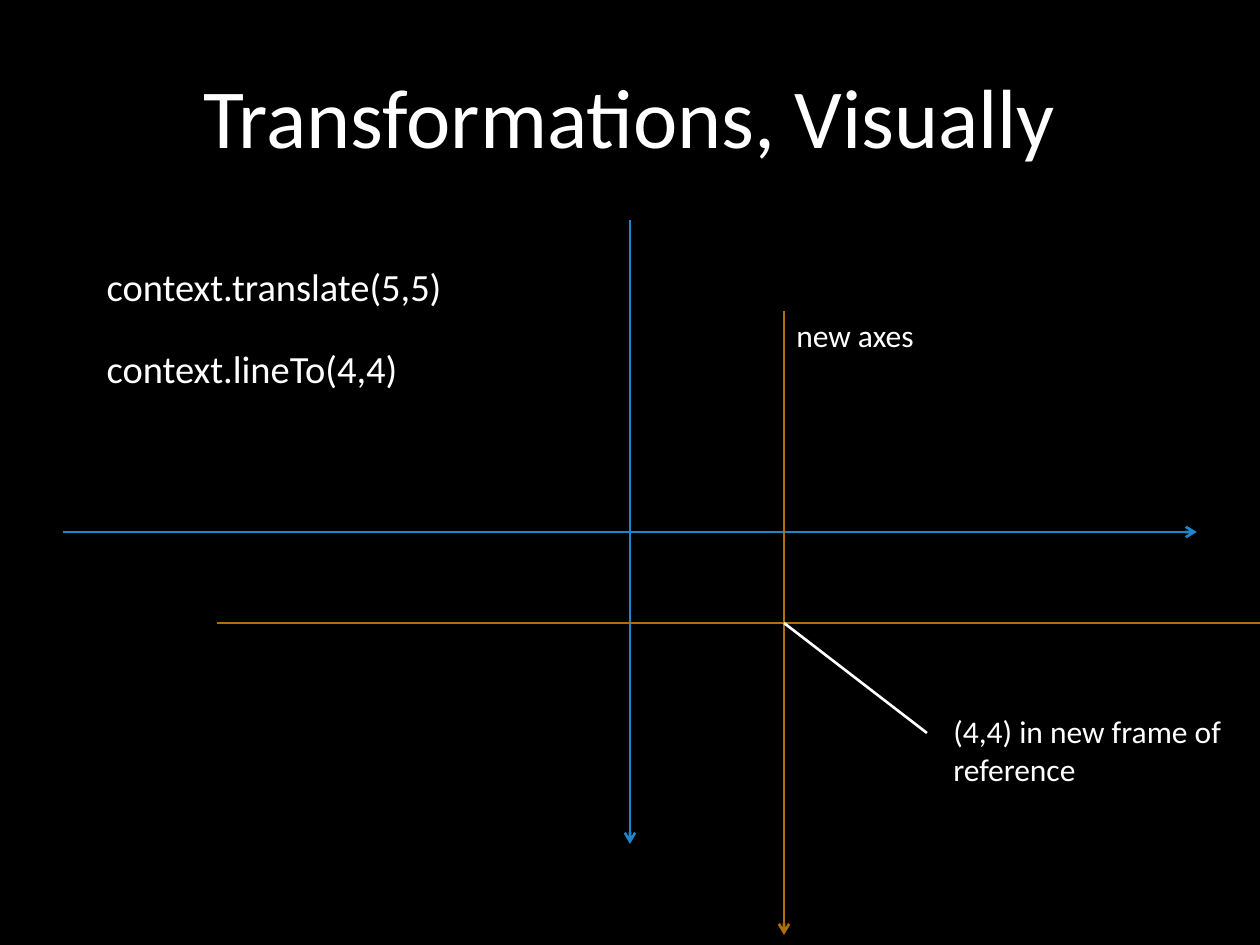
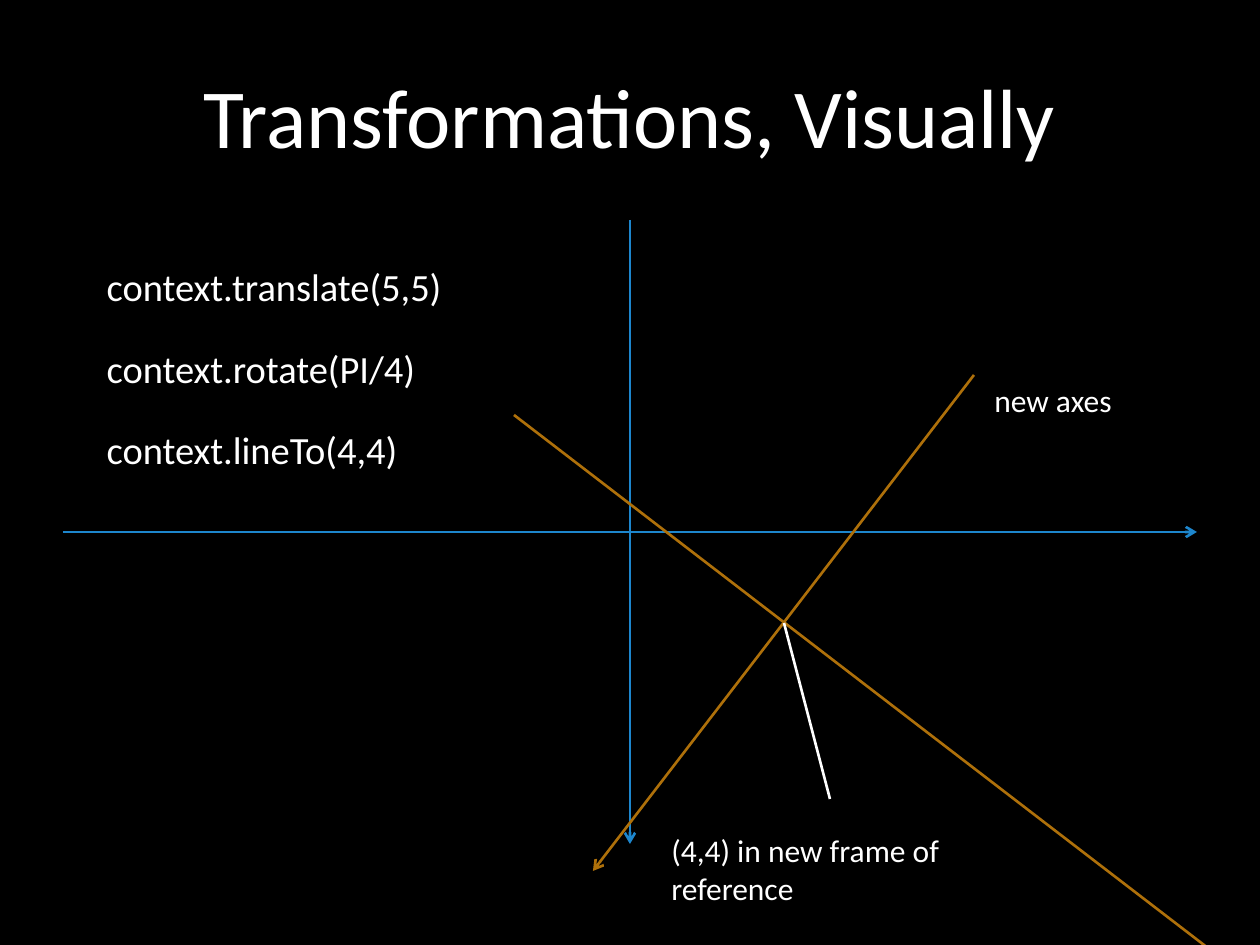
"""Build two slides showing how canvas transformations move the axes."""
from dataclasses import dataclass

import lxml.etree
import pptx
import pptx.dml.color
import pptx.enum.shapes
import pptx.enum.text
import pptx.oxml.ns
import pptx.util

EMU_PER_PIXEL = 914400 // 126
FONT = "Calibri"
BLACK, WHITE, BLUE, ORANGE = "000000", "FFFFFF", "1D86CD", "AE700A"
TITLE = "Transformations, Visually"
TITLE_BOX = (94, 16, 1071, 197)
CODE_BOX = (94, 257, 1071, 587)
AXES_LABEL_SIZE = (256, 50)
POINT_LABEL_SIZE = (360, 89)
ORIGIN_SHIFT = (154, 91)
NEW_ORIGIN = (784, 623)


@dataclass(frozen=True)
class Line:
    start: tuple[int, int]
    end: tuple[int, int]
    color: str
    arrow: bool = True

    def shifted(self, offset: tuple[int, int], color: str) -> "Line":
        across, down = offset
        return Line(
            (self.start[0] + across, self.start[1] + down),
            (self.end[0] + across, self.end[1] + down),
            color,
        )


@dataclass(frozen=True)
class Diagram:
    code: list[str]
    new_axes: list[Line]
    axes_label_at: tuple[int, int]
    point: tuple[int, int]
    point_label_at: tuple[int, int]


AXES = [
    Line((630, 220), (630, 844), BLUE),
    Line((63, 532), (1197, 532), BLUE),
]

DIAGRAMS = [
    Diagram(
        code=["context.translate(5,5)", "context.lineTo(4,4)"],
        new_axes=[axis.shifted(ORIGIN_SHIFT, ORANGE) for axis in AXES],
        axes_label_at=(784, 310),
        point=(927, 733),
        point_label_at=(941, 706),
    ),
    Diagram(
        code=["context.translate(5,5)", "context.rotate(PI/4)", "context.lineTo(4,4)"],
        new_axes=[
            Line((974, 375), (593, 871), ORANGE),
            Line((514, 415), (1234, 968), ORANGE),
        ],
        axes_label_at=(982, 375),
        point=(830, 799),
        point_label_at=(659, 825),
    ),
]


def emu(pixels: int) -> pptx.util.Emu:
    return pptx.util.Emu(pixels * EMU_PER_PIXEL)


def rgb(color: str) -> pptx.dml.color.RGBColor:
    return pptx.dml.color.RGBColor.from_string(color)


def add_element(parent, tag: str, **attributes: str) -> None:
    lxml.etree.SubElement(parent, pptx.oxml.ns.qn(tag), **attributes)


def style_paragraph(paragraph, size: int) -> None:
    font = paragraph.font
    font.name = FONT
    font.size = pptx.util.Pt(size)
    font.color.rgb = rgb(WHITE)


def place(shape, box: tuple[int, int, int, int]) -> None:
    shape.left, shape.top, shape.width, shape.height = map(emu, box)


def write_title(page) -> None:
    title = page.shapes.title
    place(title, TITLE_BOX)
    frame = title.text_frame
    frame.text = TITLE
    frame.auto_size = pptx.enum.text.MSO_AUTO_SIZE.NONE
    frame.vertical_anchor = pptx.enum.text.MSO_ANCHOR.MIDDLE
    paragraph = frame.paragraphs[0]
    paragraph.alignment = pptx.enum.text.PP_ALIGN.CENTER
    style_paragraph(paragraph, 48)


def write_code(page, statements: list[str]) -> None:
    body = page.placeholders[1]
    place(body, CODE_BOX)
    frame = body.text_frame
    frame.text = "\n".join(statements)
    frame.auto_size = pptx.enum.text.MSO_AUTO_SIZE.NONE
    for paragraph in frame.paragraphs:
        paragraph.space_before = pptx.util.Pt(20)
        properties = paragraph._p.get_or_add_pPr()
        properties.set("marL", "0")
        properties.set("indent", "0")
        add_element(properties, "a:buNone")
        style_paragraph(paragraph, 22)


def draw_line(page, line: Line) -> None:
    connector = page.shapes.add_connector(
        pptx.enum.shapes.MSO_CONNECTOR.STRAIGHT,
        *map(emu, line.start + line.end),
    )
    connector.line.color.rgb = rgb(line.color)
    connector.line.width = pptx.util.Pt(1.5)
    if line.arrow:
        add_element(connector.line._get_or_add_ln(), "a:tailEnd", type="arrow")
    add_element(connector._element.spPr, "a:effectLst")


def add_label(page, text: str, at: tuple[int, int], size: tuple[int, int]) -> None:
    label = page.shapes.add_textbox(*map(emu, at + size))
    frame = label.text_frame
    frame.word_wrap = True
    frame.auto_size = pptx.enum.text.MSO_AUTO_SIZE.SHAPE_TO_FIT_TEXT
    frame.text = text
    style_paragraph(frame.paragraphs[0], 18)


def add_page(deck, diagram: Diagram) -> None:
    page = deck.slides.add_slide(deck.slide_layouts[1])
    write_title(page)
    write_code(page, diagram.code)
    for axis in AXES + diagram.new_axes:
        draw_line(page, axis)
    add_label(page, "new axes", diagram.axes_label_at, AXES_LABEL_SIZE)
    draw_line(page, Line(NEW_ORIGIN, diagram.point, WHITE, arrow=False))
    add_label(
        page,
        "(4,4) in new frame of reference",
        diagram.point_label_at,
        POINT_LABEL_SIZE,
    )


def main() -> None:
    deck = pptx.Presentation()
    deck.slide_width = emu(1260)
    deck.slide_height = emu(945)
    background = deck.slide_master.background.fill
    background.solid()
    background.fore_color.rgb = rgb(BLACK)
    for diagram in DIAGRAMS:
        add_page(deck, diagram)
    deck.save("out.pptx")


main()
